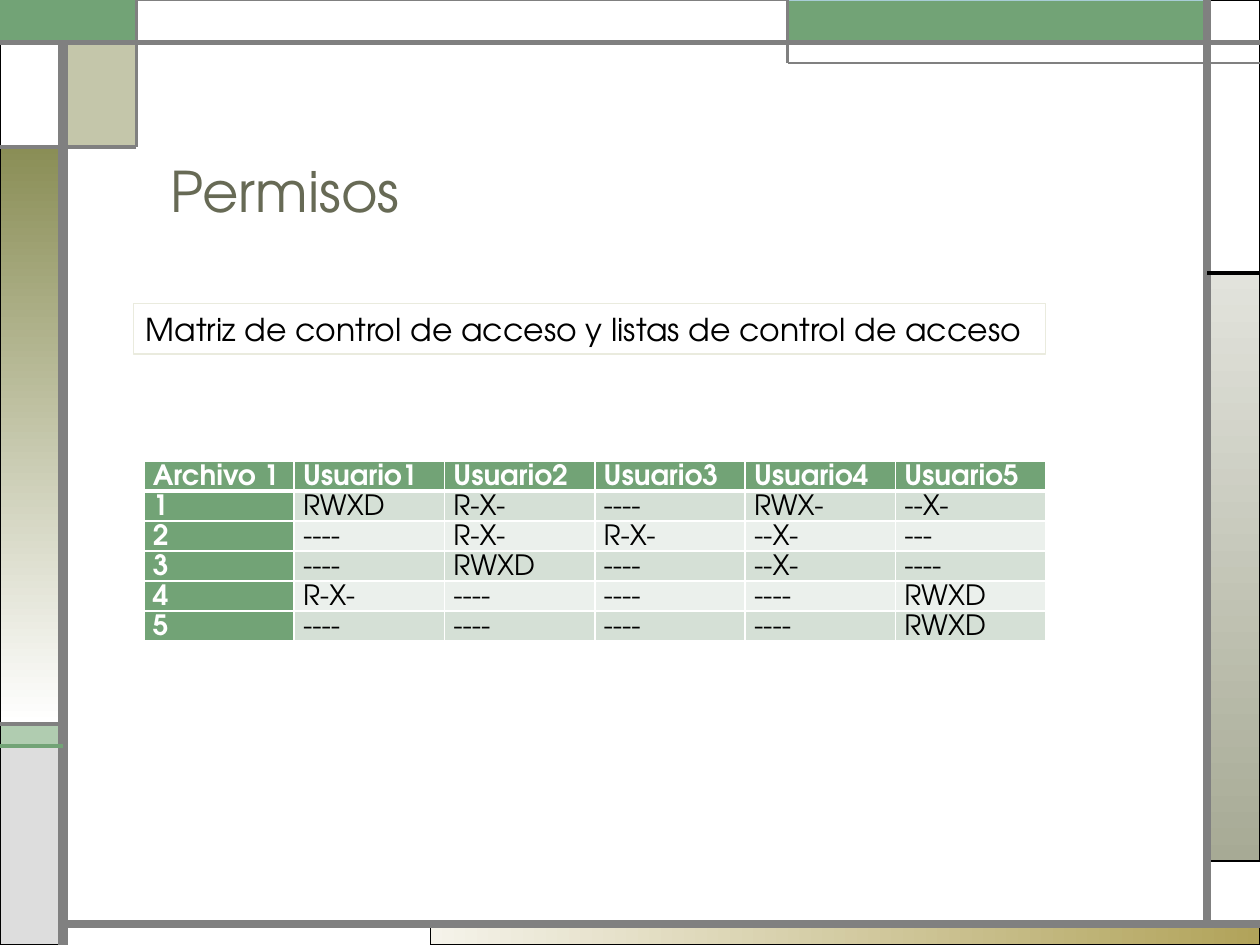
from dataclasses import dataclass

from lxml.etree import SubElement
from pptx import Presentation
from pptx.dml.color import RGBColor as Rgb
from pptx.enum.shapes import MSO_CONNECTOR as Connector, MSO_SHAPE as Shape
from pptx.enum.text import MSO_ANCHOR as Anchor, MSO_AUTO_SIZE as AutoSize, PP_ALIGN as Align
from pptx.oxml.ns import qn
from pptx.util import Cm, Pt


@dataclass(frozen=True)
class Theme:
    font: str = "TeX Gyre Adventor"
    title_size: int = 32
    body_size: int = 18
    table_size: int = 16
    black: str = "000000"
    white: str = "FFFFFF"
    gray: str = "808080"
    silver: str = "DDDDDD"
    green: str = "72A376"
    mint: str = "B0CCB0"
    sky: str = "A8CDD7"
    olive: str = "8A8E56"
    title: str = "676A55"
    caption_line: str = "EAEBDE"
    band_dark: str = "D5E0D6"
    band_light: str = "EBF0EC"
    sand: tuple = ("F5F3EA", "B1A35A")
    stone: tuple = ("E2E3DC", "A7AA95")


theme = Theme()


def add_box(left, top, right, bottom, line_color, line_width=0.75):
    box = page.shapes.add_shape(
        Shape.RECTANGLE, Cm(left), Cm(top), Cm(right - left), Cm(bottom - top))
    box.shadow.inherit = False
    box.line.color.rgb = Rgb.from_string(line_color)
    box.line.width = Pt(line_width)
    return box


def style_text(para, size, color, bold=False):
    for span in para.runs:
        span.font.name = theme.font
        span.font.size = Pt(size)
        span.font.bold = bold
        span.font.color.rgb = Rgb.from_string(color)


deck = Presentation()
deck.slide_width, deck.slide_height = Cm(25.4), Cm(19.05)
page = deck.slides.add_slide(deck.slide_layouts[6])

# Frame grid, in centimetres
right, bottom = 25.4, 19.05
rail_left, rail_right, rail_top, rail_bottom = 1.27, 24.34, 0.85, 18.63
corner_x, corner_y = 2.75, 2.96
tab_x, tab_y = 15.88, 1.27
side_top, side_bottom = 5.5, 17.36
mint_top, mint_bottom = 14.6, 15.03
footer_x = 8.68

# left, top, right, bottom, fill (a pair is a gradient), gradient angle, line, width
panels = [
    (footer_x, rail_bottom, right, bottom, theme.sand, 0, theme.black, 0.75),
    (rail_right, side_top, right, side_bottom, theme.stone, 270, theme.black, 0.75),
    (0, mint_top, rail_left, mint_bottom, theme.mint, 0, theme.black, 0.75),
    (0, mint_bottom, rail_left, bottom, theme.silver, 0, theme.black, 0.75),
    (rail_right, 0, right, side_top, theme.white, 0, theme.black, 0.75),
    (tab_x, 0, rail_right, rail_top, theme.green, 0, theme.sky, 0.75),
    (rail_left, rail_top, corner_x, corner_y, theme.olive, 0, theme.black, 0.75),
    (0, corner_y, rail_left, mint_top, (theme.olive, theme.white), 270, theme.black, 0.75),
    (0, rail_top, rail_left, corner_y, theme.white, 0, theme.black, 0.75),
    (0, 0, corner_x, rail_top, theme.green, 0, theme.green, 1.5),
    (corner_x, 0, tab_x, rail_top, theme.white, 0, theme.gray, 0.75),
]
for *edges, fill, angle, line_color, line_width in panels:
    panel = add_box(*edges, line_color, line_width)
    if isinstance(fill, tuple):
        panel.fill.gradient()
        panel.fill.gradient_angle = angle
        for stop, color in zip(panel.fill.gradient_stops, fill):
            stop.color.rgb = Rgb.from_string(color)
    else:
        panel.fill.solid()
        panel.fill.fore_color.rgb = Rgb.from_string(fill)
    if fill == theme.olive:
        tint = panel.fill._xPr.find(qn("a:solidFill"))[0]
        SubElement(tint, qn("a:alpha"), val="50000")

rails = [
    (rail_left, bottom, rail_left, rail_top, theme.gray, 6),
    (rail_left, rail_bottom, right, rail_bottom, theme.gray, 4.5),
    (rail_right, rail_bottom, rail_right, 0, theme.gray, 4.5),
    (0, rail_top, right, rail_top, theme.gray, 3),
    (right, tab_y, tab_x, tab_y, theme.gray, 1.5),
    (tab_x, tab_y, tab_x, 0, theme.gray, 1.5),
    (rail_right, side_top, right, side_top, theme.black, 2.25),
    (corner_x, 0, corner_x, corner_y, theme.gray, 1.5),
    (corner_x, corner_y, 0, corner_y, theme.gray, 2.25),
    (rail_left, mint_top, 0, mint_top, theme.gray, 2.25),
    (rail_left, mint_bottom, 0, mint_bottom, theme.green, 2.25),
]
for *ends, color, width in rails:
    rail = page.shapes.add_connector(Connector.STRAIGHT, *map(Cm, ends))
    rail.line.color.rgb = Rgb.from_string(color)
    rail.line.width = Pt(width)
    SubElement(rail._element.spPr, qn("a:effectLst"))

permissions = [
    ["Archivo 1", "Usuario1", "Usuario2", "Usuario3", "Usuario4", "Usuario5"],
    ["1", "RWXD", "R-X-", "----", "RWX-", "--X-"],
    ["2", "----", "R-X-", "R-X-", "--X-", "---"],
    ["3", "----", "RWXD", "----", "--X-", "----"],
    ["4", "R-X-", "----", "----", "----", "RWXD"],
    ["5", "----", "----", "----", "----", "RWXD"],
]
row_count, column_count = len(permissions), len(permissions[0])
row_height = 0.6
table = page.shapes.add_table(
    row_count, column_count, Cm(2.9), Cm(9.3), Cm(18.18), Cm(row_height * row_count)).table
for row_index, row in enumerate(permissions):
    for column_index, value in enumerate(row):
        cell = table.cell(row_index, column_index)
        heading = row_index == 0 or column_index == 0
        band = theme.band_dark if row_index % 2 else theme.band_light
        cell.margin_left = cell.margin_right = Cm(0.18)
        cell.margin_top = cell.margin_bottom = 0
        cell.text = value
        para = cell.text_frame.paragraphs[0]
        para.alignment = Align.JUSTIFY
        para.line_spacing = 1.15
        style_text(para, theme.table_size, theme.white if heading else theme.black, heading)
        properties = cell._tc.get_or_add_tcPr()
        for side in ("lnL", "lnR", "lnT", "lnB"):
            thick = (row_index, side) in ((0, "lnB"), (1, "lnT"))
            border = SubElement(properties, qn(f"a:{side}"), w=str(Pt(3 if thick else 1)))
            SubElement(SubElement(border, qn("a:solidFill")), qn("a:srgbClr"), val=theme.white)
        cell.fill.solid()
        cell.fill.fore_color.rgb = Rgb.from_string(theme.green if heading else band)

title = page.shapes.add_textbox(Cm(3.18), Cm(1.48), Cm(20), Cm(3.18)).text_frame
title.word_wrap = True
title.vertical_anchor = Anchor.BOTTOM
title.text = "Permisos"
title.paragraphs[0].line_spacing = 0.9
style_text(title.paragraphs[0], theme.title_size, theme.title)

caption_box = add_box(2.69, 6.12, 21.08, 7.14, theme.caption_line)
caption_box.fill.background()
caption = caption_box.text_frame
caption.word_wrap = False
caption.auto_size = AutoSize.SHAPE_TO_FIT_TEXT
caption.vertical_anchor = Anchor.MIDDLE
caption.text = "Matriz de control de acceso y listas de control de acceso"
caption.paragraphs[0].alignment = Align.LEFT
style_text(caption.paragraphs[0], theme.body_size, theme.black)

deck.save("out.pptx")
